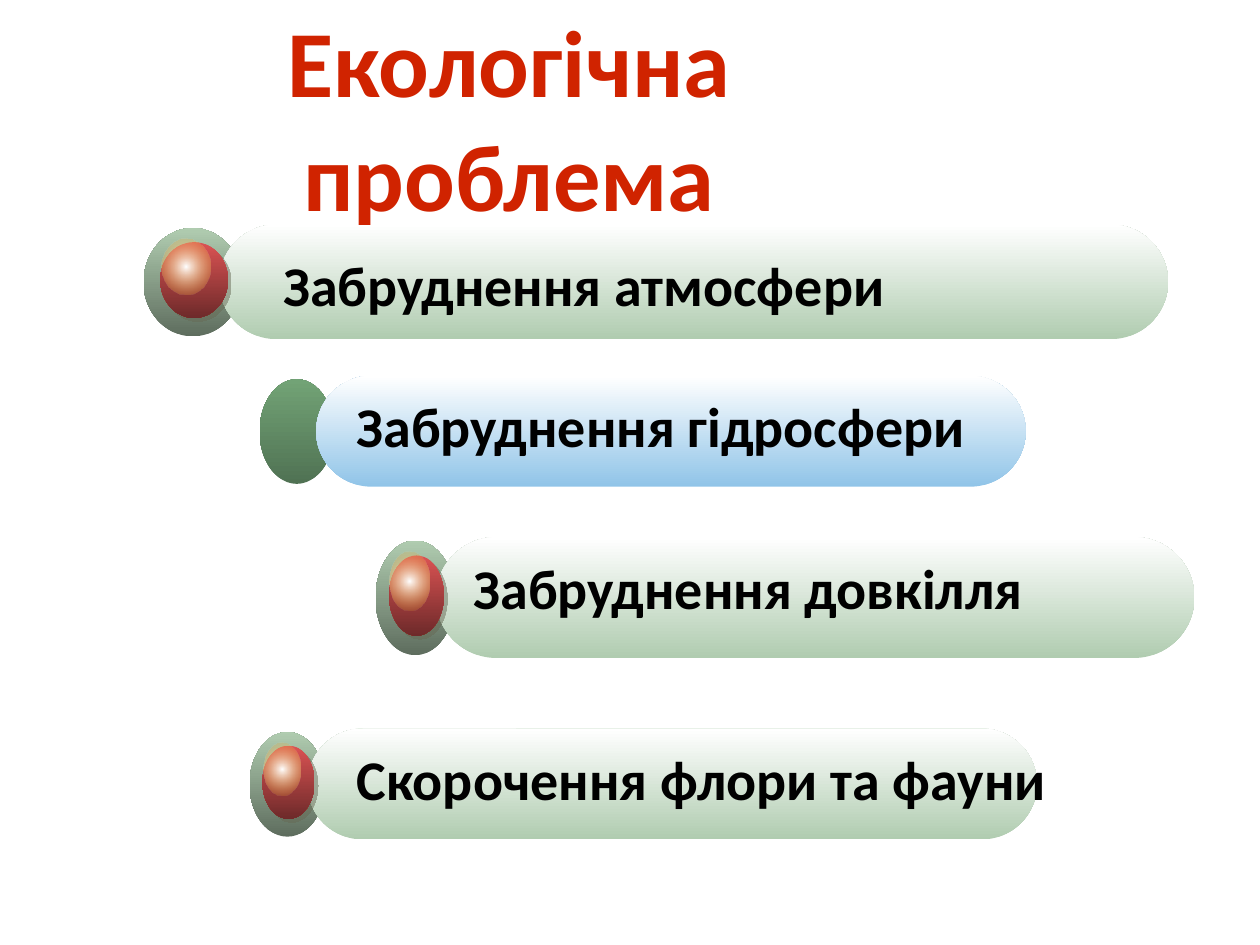
from lxml import etree
from pptx import Presentation
from pptx.dml.color import RGBColor
from pptx.enum.shapes import MSO_SHAPE
from pptx.enum.text import MSO_ANCHOR, MSO_AUTO_SIZE, PP_ALIGN
from pptx.oxml.ns import qn
from pptx.util import Pt

OVAL, PILL = MSO_SHAPE.OVAL, MSO_SHAPE.ROUNDED_RECTANGLE
MIDDLE, CENTER, FIXED = MSO_ANCHOR.MIDDLE, PP_ALIGN.CENTER, MSO_AUTO_SIZE.NONE
UP, DOWN = 90, 270  # counter-clockwise gradient angles

TITLE_RED = RGBColor(0xD0, 0x23, 0x00)
BLACK = RGBColor(0, 0, 0)
WHITE = RGBColor(0xFF, 0xFF, 0xFF)
PALE_GREEN = RGBColor(0xB0, 0xCC, 0xB0)
GREY_GREEN = RGBColor(0x5E, 0x6D, 0x5E)
GREEN = RGBColor(0x72, 0xA3, 0x76)
DARK_GREEN = RGBColor(0x50, 0x72, 0x53)
SKY_BLUE = RGBColor(0x90, 0xC4, 0xE8)
RED = RGBColor(0xDB, 0x53, 0x53)
DARK_RED = RGBColor(0x6E, 0x2A, 0x2A)
ORANGE = RGBColor(0xE9, 0x94, 0x0B)
SHADOW = RGBColor(0x67, 0x6A, 0x55)

# text, oval (x, y, w, h), bar (x, w), label (x, y, w), has a red ball
PROBLEMS = [
    ("Забруднення атмосфери", (82, 130.3, 56.2, 61.9), (125.3, 542.2), (154.8, 139.7, 368), True),
    ("Забруднення гідросфери", (148.3, 216.7, 42.5, 59.8), (180.7, 405.4), (196.6, 220.3, 386), False),
    ("Забруднення довкілля", (214.6, 308.9, 45.4, 65.5), (249.1, 433.4), (263.5, 312.5, 368), True),
    ("Скорочення флори та фауни", (142.6, 418.3, 43.2, 59.8), (175.7, 416.9), (196.6, 421.9, 440.6), True),
]


class ProblemSlide:
    font_name = "Calibri"
    title_size, label_size = Pt(54), Pt(32)

    def __init__(self, deck):
        self.slide = deck.slides.add_slide(deck.slide_layouts[5])

    def style(self, paragraph, size, color):
        font = paragraph.font
        font.name, font.size, font.bold = self.font_name, size, True
        font.color.rgb = color

    def title(self, text, x, y, w, h):
        title = self.slide.shapes.title
        title.left, title.top, title.width, title.height = map(Pt, (x, y, w, h))
        frame = title.text_frame
        frame.text = text
        frame.word_wrap, frame.auto_size, frame.vertical_anchor = True, FIXED, MIDDLE
        frame.paragraphs[0].alignment = CENTER
        self.style(frame.paragraphs[0], self.title_size, TITLE_RED)

    def gradient_shape(self, kind, box, start, end, angle):
        shape = self.slide.shapes.add_shape(kind, *map(Pt, box))
        shape.shadow.inherit = False
        shape.line.fill.background()
        shape.fill.gradient()
        shape.fill.gradient_angle = angle
        for stop, color in zip(shape.fill.gradient_stops, (start, end)):
            stop.color.rgb = color
        return shape

    def bar(self, box, color):
        pill = self.gradient_shape(PILL, box, color, WHITE, UP)
        pill.adjustments[0] = 0.5

    def ball(self, x, y, w, h):
        """Red ball with a highlight, in proportion to the oval behind it."""
        body = (x + 0.17 * w, y + 0.13 * h, 0.69 * w, 0.7 * h)
        self.drop_shadow(self.gradient_shape(OVAL, body, RED, DARK_RED, DOWN))
        glow = (x + 0.18 * w, y + 0.1 * h, 0.5 * w, 0.51 * h)
        self.fade_out(self.gradient_shape(OVAL, glow, WHITE, ORANGE, UP))

    def drop_shadow(self, shape):
        effects = shape.element.spPr.find(qn("a:effectLst"))
        shadow = etree.SubElement(effects, qn("a:outerShdw"), dist=str(Pt(2.8)),
                                  dir="2700000", algn="ctr", rotWithShape="0")
        color = etree.SubElement(shadow, qn("a:srgbClr"), val=str(SHADOW))
        etree.SubElement(color, qn("a:alpha"), val="50000")

    def fade_out(self, shape):
        gradient = shape.element.spPr.find(qn("a:gradFill"))
        edge_color = gradient.findall(".//" + qn("a:srgbClr"))[-1]
        etree.SubElement(edge_color, qn("a:alpha"), val="0")
        radial = etree.Element(qn("a:path"), path="circle")
        etree.SubElement(radial, qn("a:fillToRect"), l="50000", t="50000", r="50000", b="50000")
        gradient.replace(gradient.find(qn("a:lin")), radial)

    def label(self, text, x, y, w):
        frame = self.slide.shapes.add_textbox(*map(Pt, (x, y, w, 84.2))).text_frame
        frame.word_wrap = True
        frame.text = text
        self.style(frame.paragraphs[0], self.label_size, BLACK)

    def problem(self, text, oval, bar, label, has_ball):
        _, y, _, h = oval
        bar_x, bar_w = bar
        oval_colors = (GREY_GREEN, PALE_GREEN) if has_ball else (DARK_GREEN, GREEN)
        self.gradient_shape(OVAL, oval, *oval_colors, UP)
        self.bar((bar_x, y - 2, bar_w, h + 3.6), PALE_GREEN if has_ball else SKY_BLUE)
        if has_ball:
            self.ball(*oval)
        self.label(text, *label)


def main():
    deck = Presentation()
    deck.slide_width, deck.slide_height = Pt(720), Pt(540)
    page = ProblemSlide(deck)

    # Heading
    page.title("Екологічна проблема", 36, 21.6, 509.8, 90)

    # One row per problem
    for problem in PROBLEMS:
        page.problem(*problem)

    deck.save("out.pptx")


if __name__ == "__main__":
    main()
